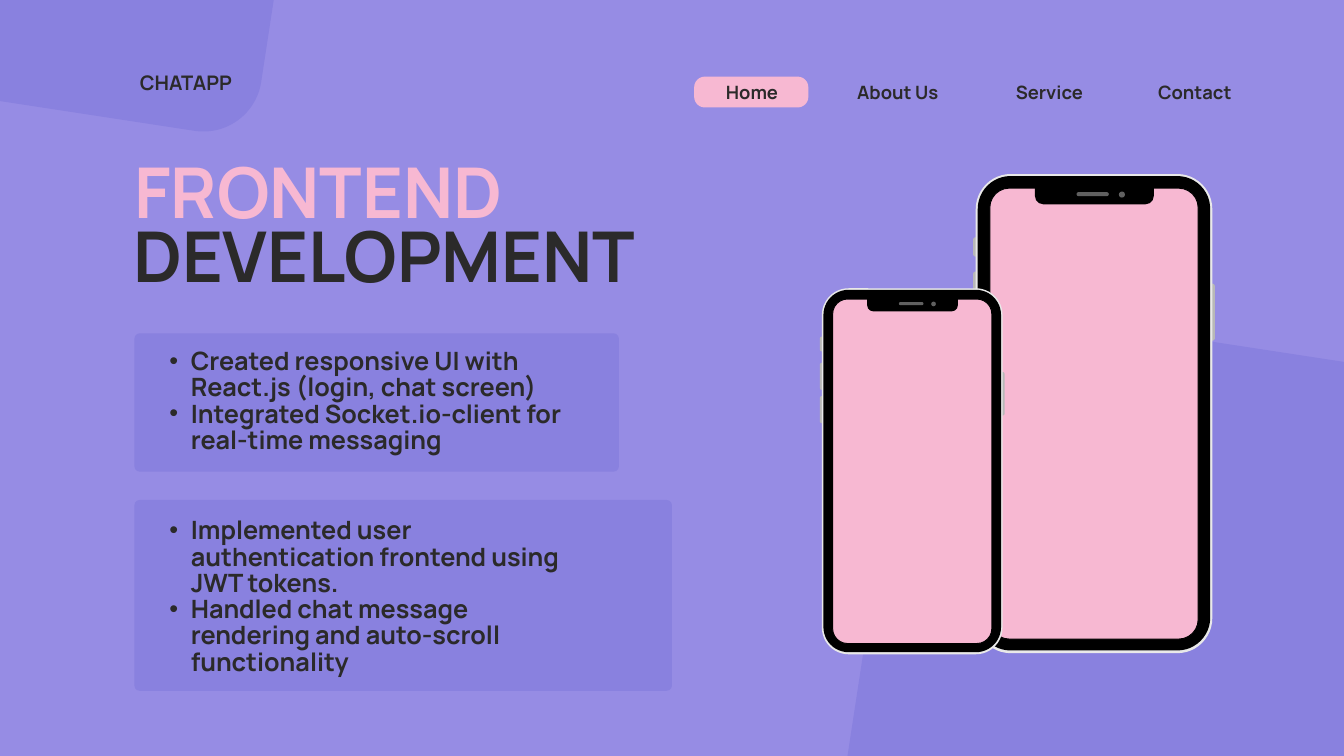
import pptx
import pptx.util
import pptx.dml.color
import pptx.enum.shapes
import pptx.enum.text
import lxml.etree
from pptx.util import Inches

RGBColor = pptx.dml.color.RGBColor
MSO_SHAPE = pptx.enum.shapes.MSO_SHAPE
PP_ALIGN = pptx.enum.text.PP_ALIGN

LAVENDER = RGBColor(0x96, 0x8C, 0xE4)
VIOLET = RGBColor(0x89, 0x81, 0xDF)
PINK = RGBColor(0xF7, 0xB8, 0xD2)
INK = RGBColor(0x2B, 0x2A, 0x2A)
BLACK = RGBColor(0, 0, 0)
SPEAKER_GREY = RGBColor(0x60, 0x60, 0x60)
BUTTON_GREY = RGBColor(0xB8, 0xB8, 0xB8)
RIM_GREY = RGBColor(0xE9, 0xE9, 0xE9)
FONT = "Manrope"


def add_block(slide, left, top, width, height, color, radius=0, rotation=0,
              outline=None, kind=MSO_SHAPE.ROUNDED_RECTANGLE):
    block = slide.shapes.add_shape(
        kind, Inches(left), Inches(top), Inches(width), Inches(height))
    if len(block.adjustments):
        block.adjustments[0] = radius / min(width, height)
    block.rotation = rotation
    block.shadow.inherit = False
    block.fill.solid()
    block.fill.fore_color.rgb = color
    if outline is None:
        block.line.fill.background()
    else:
        block.line.color.rgb = outline
        block.line.width = pptx.util.Pt(1)
    return block


def add_bullet(paragraph, indent=0.64, hanging=0.32):
    properties = paragraph._p.get_or_add_pPr()
    properties.set("marL", str(Inches(indent)))
    properties.set("indent", str(-Inches(hanging)))
    namespace = properties.nsmap["a"]
    font = lxml.etree.SubElement(properties, f"{{{namespace}}}buFont")
    font.set("typeface", "Arial")
    bullet = lxml.etree.SubElement(properties, f"{{{namespace}}}buChar")
    bullet.set("char", "•")


def add_text(slide, text, left, top, width, height, size, spacing,
             color=INK, align=PP_ALIGN.LEFT, bulleted=False):
    box = slide.shapes.add_textbox(
        Inches(left), Inches(top), Inches(width), Inches(height))
    frame = box.text_frame
    frame.word_wrap = True
    frame.margin_left = frame.margin_right = 0
    frame.margin_top = frame.margin_bottom = 0
    frame.text = text
    for paragraph in frame.paragraphs:
        paragraph.alignment = align
        paragraph.line_spacing = pptx.util.Pt(spacing)
        if bulleted:
            paragraph.level = 1
            add_bullet(paragraph)
        for run in paragraph.runs:
            run.font.name = FONT
            run.font.size = pptx.util.Pt(size)
            run.font.bold = True
            run.font.color.rgb = color


def add_backdrop(slide):
    slide.background.fill.solid()
    slide.background.fill.fore_color.rgb = LAVENDER
    add_block(slide, -0.7, -4.69, 4.97, 6.43, VIOLET, 0.87, rotation=8.7)
    add_block(slide, 12.83, 4.96, 7.99, 10.34, VIOLET, 0.87, rotation=8.7)


def add_navigation(slide, left, top):
    add_block(slide, left, top, 1.7, 0.46, PINK, 0.16)
    links = [("Home", 0.27, 1.18), ("About Us", 2.24, 1.58),
             ("Service", 4.62, 1.33), ("Contact", 6.75, 1.4)]
    for label, offset, width in links:
        add_text(slide, label, left + offset, top + 0.01, width, 0.38,
                 size=19.7, spacing=27.5, align=PP_ALIGN.CENTER)


def add_heading(slide, left, top):
    add_text(slide, "CHATAPP", left + 0.08, top, 2.11, 0.36, size=21.5, spacing=23)
    add_text(slide, "FRONTEND", left, top + 1.25, 6.07, 1.22,
             size=75, spacing=80.2, color=PINK)
    add_text(slide, "DEVELOPMENT", left - 0.02, top + 2.21, 7.64, 1.22,
             size=75, spacing=80.2)


def add_phone(slide, left, top, width):
    scale = width / 3.6

    def part(x, y, w, h, color, radius=0, **options):
        add_block(slide, left + x * scale, top + y * scale, w * scale, h * scale,
                  color, radius * scale, **options)

    for x, y, height in [(0, 0.94, 0.29), (0, 1.45, 0.53),
                         (0, 2.1, 0.53), (3.52, 1.63, 0.85)]:
        part(x, y, 0.08, height, BUTTON_GREY, 0.04)
    part(0.04, 0, 3.52, 7.13, RIM_GREY, 0.52)
    part(0.07, 0.03, 3.46, 7.06, BLACK, 0.49)
    part(0.25, 0.21, 3.1, 6.71, PINK, 0.29, outline=BLACK)
    part(0.92, 0.2, 1.77, 0.25, BLACK, 0.16, rotation=180,
         kind=MSO_SHAPE.ROUND_2_SAME_RECTANGLE)
    part(1.54, 0.27, 0.48, 0.06, SPEAKER_GREY, 0.03)
    part(2.17, 0.26, 0.09, 0.09, SPEAKER_GREY, kind=MSO_SHAPE.OVAL)


def add_panel(slide, left, top, width, height, points, text_top, text_width):
    add_block(slide, left, top, width, height, VIOLET, 0.08)
    add_text(slide, "\n".join(points), left + 0.2, top + text_top, text_width,
             height - 2 * text_top, size=27, spacing=28.1, bulleted=True)


def main():
    deck = pptx.Presentation()
    deck.slide_width = Inches(20)
    deck.slide_height = Inches(11.25)
    slide = deck.slides.add_slide(deck.slide_layouts[6])
    add_backdrop(slide)
    add_navigation(slide, 10.33, 1.14)
    add_phone(slide, 14.48, 2.59, 3.6)
    add_phone(slide, 12.2, 4.29, 2.75)
    add_panel(slide, 2, 4.96, 7.21, 2.06,
              ["Created responsive UI with React.js (login, chat screen)",
               "Integrated Socket.io-client for real-time messaging"],
              text_top=0.24, text_width=6.35)
    add_panel(slide, 2, 7.44, 8, 2.84,
              ["Implemented user authentication frontend using JWT tokens.",
               "Handled chat message rendering and auto-scroll functionality"],
              text_top=0.28, text_width=6.18)
    add_heading(slide, 2, 1.09)
    deck.save("out.pptx")


if __name__ == "__main__":
    main()
